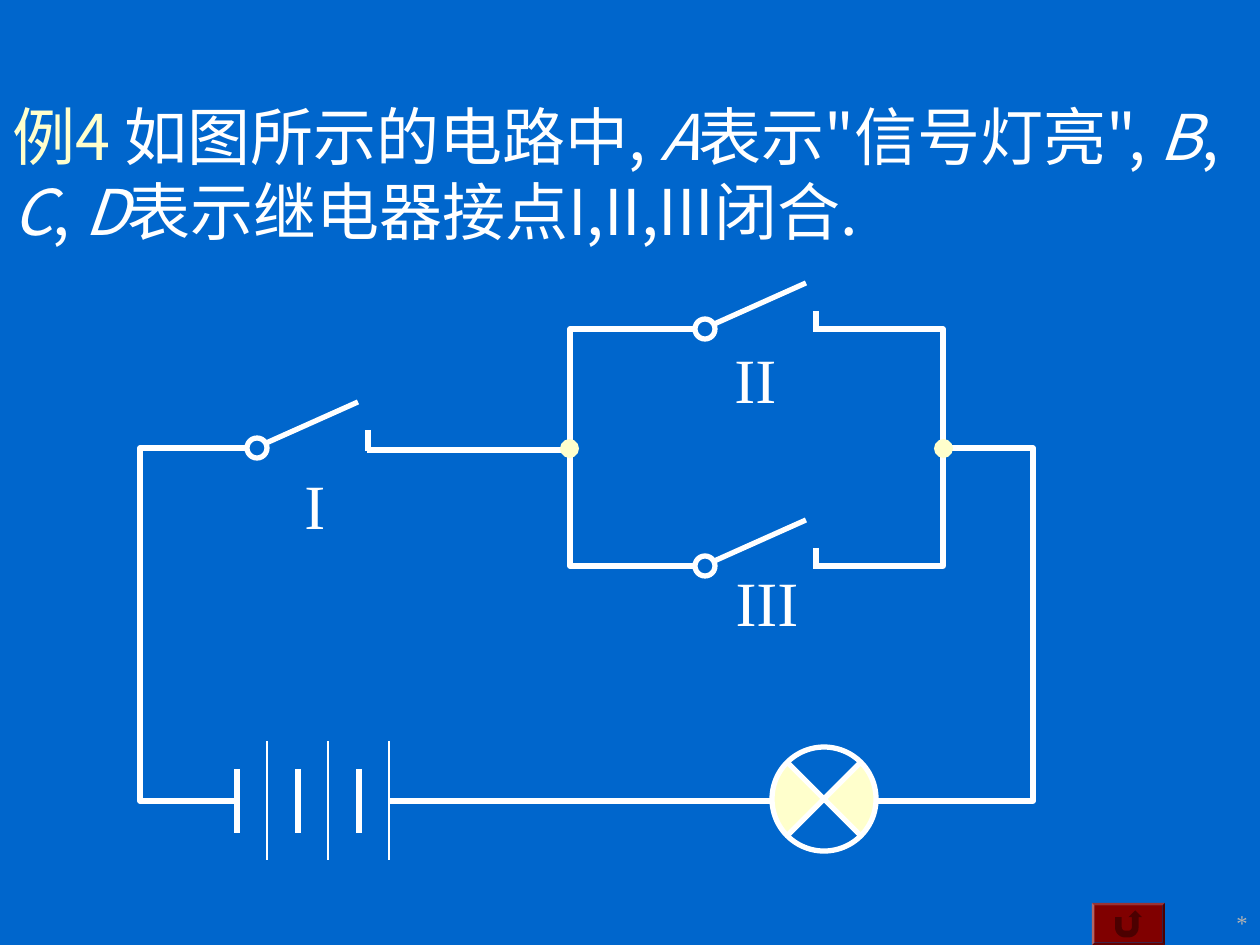
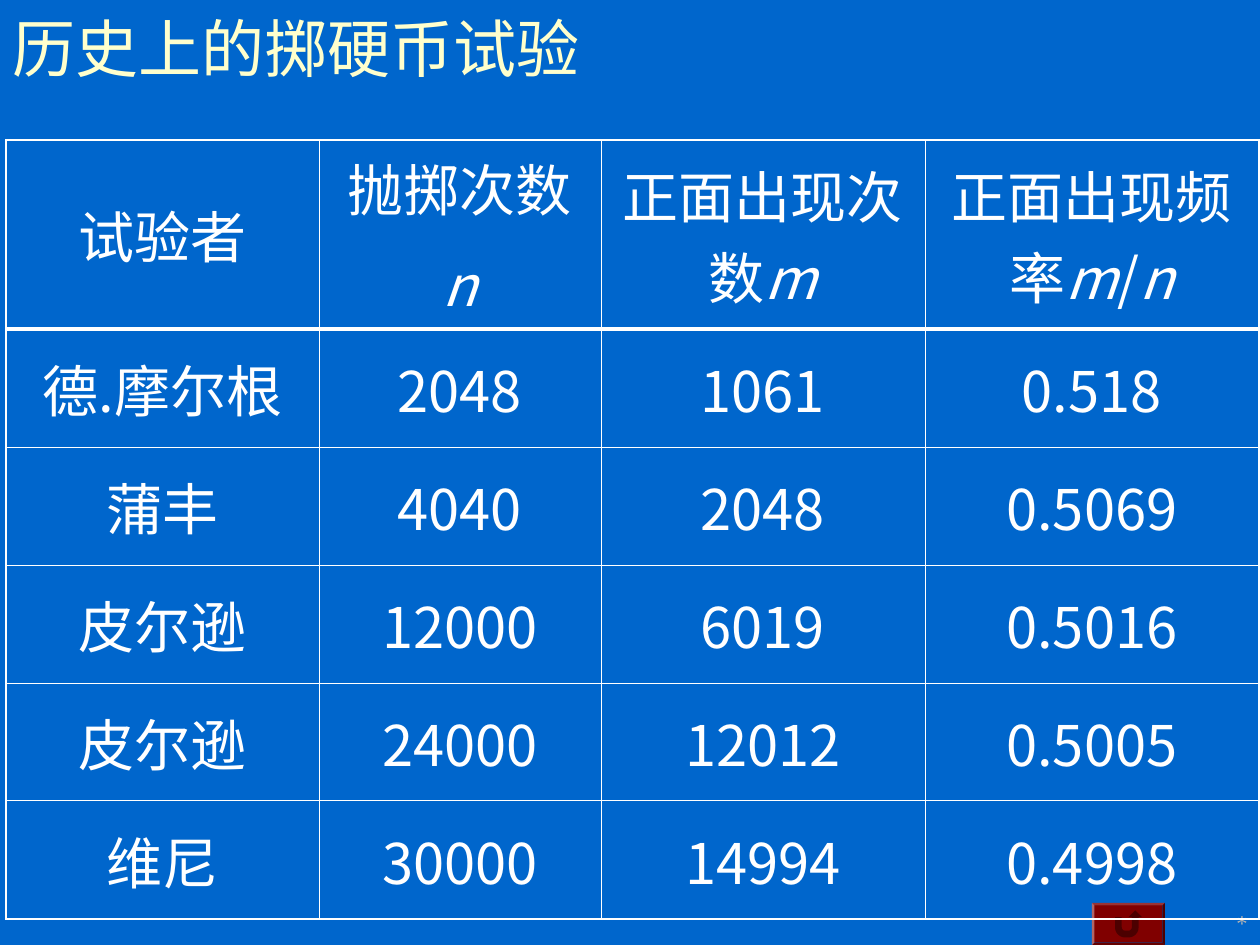
"""Builds two lesson slides: a signal lamp circuit and a table of coin tosses."""
import lxml.etree
import pptx
import pptx.dml.color
import pptx.enum.shapes
import pptx.enum.text
import pptx.oxml.ns
import pptx.util

PX = 914400 / 126
HUES = {"back": "0066CC", "cream": "FFFFCC", "white": "FFFFFF", "grey": "B2B2B2", "red": "800000"}
SANS, SERIF = "Noto Sans CJK SC", "Times New Roman"
FORM = pptx.enum.shapes.MSO_SHAPE
ALIGN = pptx.enum.text.PP_ALIGN
MID = pptx.enum.text.MSO_ANCHOR.MIDDLE
EDGE, GRID, RULE = 1.08, 0.45, 2.21


def px(*sizes):
    """Turn px into EMU."""
    return [round(size * PX) for size in sizes]


def hue(name):
    """Look up a colour."""
    return pptx.dml.color.RGBColor.from_string(HUES[name])


def node(root, tag, **attrs):
    """Add an XML child with the given tag."""
    return lxml.etree.SubElement(root, pptx.oxml.ns.qn(tag), attrs)


def paint(shape, fill=None, line=None):
    """Set the fill and line of a shape and drop its shadow."""
    shape.shadow.inherit = False
    if fill:
        shape.fill.solid()
        shape.fill.fore_color.rgb = hue(fill)
    else:
        shape.fill.background()
    if line:
        shape.line.color.rgb = hue(line)
        shape.line.width = pptx.util.Pt(3)
    else:
        shape.line.fill.background()


def write(para, text, size, font=SANS, color="white"):
    """Add runs; the parts between underscores are italic."""
    for i, part in enumerate(text.split("_")):
        if part:
            run = para.add_run()
            run.text = part
            run.font.size = pptx.util.Pt(size)
            run.font.italic = i % 2 == 1
            run.font.color.rgb = hue(color)
            run.font.name = font
            node(run.font._element, "a:ea", typeface=font)


def label(slide, x, y, w, h, align, wrap=True):
    """Add a text box and return its frame."""
    frame = slide.shapes.add_textbox(*px(x, y, w, h)).text_frame
    frame.word_wrap = wrap
    frame.paragraphs[0].alignment = align
    return frame


def title(slide, y, h, lead, rest=""):
    """Add a title with a cream lead and white rest."""
    frame = label(slide, 0, y, 1260, h, ALIGN.LEFT)
    frame.vertical_anchor = MID
    para = frame.paragraphs[0]
    write(para, lead, 36, color="cream")
    write(para, rest, 36)


def footer(slide, x, y):
    """Add the bevelled return button and the page mark."""
    bevel = slide.shapes.add_shape(FORM.BEVEL, *px(x, y, 73, 42))
    bevel.adjustments[0] = 0.06
    paint(bevel, "red")
    button = slide.shapes.add_shape(FORM.ACTION_BUTTON_RETURN, *px(x + 3, y + 3, 67, 36))
    paint(button, "red")
    mark = label(slide, x + 84, y, 84, 42, ALIGN.RIGHT)
    write(mark.paragraphs[0], "*", 12.9, SERIF, "grey")


def start(deck):
    """Add a blank slide with the footer."""
    slide = deck.slides.add_slide(deck.slide_layouts[6])
    footer(slide, 1092, 903)
    return slide


def line(slide, x, y, ends, width=3):
    """Draw a straight line between two points relative to x, y."""
    (ax, ay), (bx, by) = ends
    link = slide.shapes.add_connector(
        pptx.enum.shapes.MSO_CONNECTOR.STRAIGHT, *px(x + ax, y + ay, x + bx, y + by))
    link.line.color.rgb = hue("white")
    link.line.width = pptx.util.Pt(width)
    node(link._element.spPr, "a:effectLst")


def path(slide, x, y, points, fill=None, stroke=None):
    """Draw an outline through points relative to x, y, closed if filled."""
    first, *rest = [(x + dx, y + dy) for dx, dy in points]
    pen = slide.shapes.build_freeform(*first, scale=PX)
    pen.add_line_segments(rest, close=bool(fill))
    paint(pen.convert_to_shape(), fill, stroke)


def disc(slide, x, y, size, fill=None, stroke=None):
    """Draw a circle."""
    paint(slide.shapes.add_shape(FORM.OVAL, *px(x, y, size, size)), fill, stroke)


def switch(slide, x, y):
    """Draw an open switch."""
    line(slide, x, y, [(17, 6), (111, -36)])
    disc(slide, x, y, 20, stroke="white")
    line(slide, x, y, [(121, -8), (121, 13)])


def cells(slide, x, y):
    """Draw a battery of three cells."""
    for left in range(0, 183, 61):
        line(slide, x + left, y, [(0, 28), (0, 92)])
        line(slide, x + left, y, [(30, 0), (30, 119)], 1)


def lamp(slide, x, y):
    """Draw a lamp about its centre."""
    wedge = [(0, 0), (36, 36), (44, 27), (49, 15), (52, 5),
             (51, -5), (49, -19), (44, -28), (37, -37)]
    for side in (1, -1):
        path(slide, x, y, [(side * dx, dy) for dx, dy in wedge], fill="cream")
    disc(slide, x - 52, y - 52, 104, stroke="white")
    for side in (1, -1):
        line(slide, x, y, [(-37, side * 37), (37, side * -37)])


def circuit(slide, x, y):
    """Draw the whole circuit from its left and top wires."""
    for dx, dy in [(107, 109), (555, -10), (555, 227)]:
        switch(slide, x + dx, y + dy)
    cells(slide, x + 97, y + 412)
    lamp(slide, x + 684, y + 470)
    for points in [
        [(554, 0), (430, 0), (430, 237), (554, 237)],
        [(675, 0), (803, 0), (803, 237), (675, 237)],
        [(107, 119), (0, 119), (0, 472), (97, 472)],
        [(736, 472), (893, 472), (893, 119), (803, 119)],
    ]:
        path(slide, x, y, points, stroke="white")
    line(slide, x, y, [(430, 121), (227, 121)])
    line(slide, x, y, [(249, 472), (630, 472)])
    for dx in (420, 794):
        disc(slide, x + dx, y + 110, 19, "cream")
    for text, dx, dy, w in [("I", 152, 131, 45), ("II", 582, 5, 67), ("III", 583, 228, 88)]:
        frame = label(slide, x + dx, y + dy, w, 88, ALIGN.CENTER, False)
        write(frame.paragraphs[0], text, 36, SERIF)


def border(cell, widths):
    """Set the left, right, top and bottom borders of a cell."""
    props = cell._tc.get_or_add_tcPr()
    for side, width in zip("LRTB", widths):
        edge = node(props, f"a:ln{side}", w=str(pptx.util.Pt(width)))
        node(node(edge, "a:solidFill"), "a:srgbClr", val=HUES["white"])


def chart(slide, x, y, wide, high, rows):
    """Add the table of results."""
    frame = slide.shapes.add_table(len(rows), len(wide), *px(x, y, sum(wide), sum(high)))
    table = frame.table
    table.first_row = table.horz_banding = False
    for col, width in zip(table.columns, px(*wide)):
        col.width = width
    for row, height in zip(table.rows, px(*high)):
        row.height = height
    across = [EDGE] + [GRID] * (len(wide) - 1) + [EDGE]
    down = [EDGE, RULE] + [GRID] * (len(rows) - 2) + [EDGE]
    for r, row in enumerate(rows):
        for c, text in enumerate(row):
            cell = table.cell(r, c)
            border(cell, across[c:c + 2] + down[r:r + 2])
            cell.fill.background()
            cell.vertical_anchor = MID
            for i, part in enumerate(text.split("\n")):
                paras = cell.text_frame
                para = paras.add_paragraph() if i else paras.paragraphs[0]
                para.alignment = ALIGN.CENTER
                para.space_before = pptx.util.Pt(8)
                write(para, part, 32)


def main():
    """Build and save the deck."""
    deck = pptx.Presentation()
    deck.slide_width, deck.slide_height = px(1260, 945)
    back = deck.slide_master.background.fill
    back.solid()
    back.fore_color.rgb = hue("back")

    slide = start(deck)
    title(slide, 90, 166, "例4 ", "如图所示的电路中, _A_表示\"信号灯亮\", _B_, _C_, _D_"
          "表示继电器接点I,II,III闭合.")
    circuit(slide, 140, 329)

    slide = start(deck)
    title(slide, 0, 94, "历史上的掷硬币试验")
    chart(slide, 6, 140, [313, 282, 324, 334], [189] + [118] * 5, [
        ("试验者", "抛掷次数\n_n_", "正面出现次数_m_", "正面出现频率_m_/_n_"),
        ("德.摩尔根", "2048", "1061", "0.518"),
        ("蒲丰", "4040", "2048", "0.5069"),
        ("皮尔逊", "12000", "6019", "0.5016"),
        ("皮尔逊", "24000", "12012", "0.5005"),
        ("维尼", "30000", "14994", "0.4998"),
    ])
    deck.save("out.pptx")


if __name__ == "__main__":
    main()
